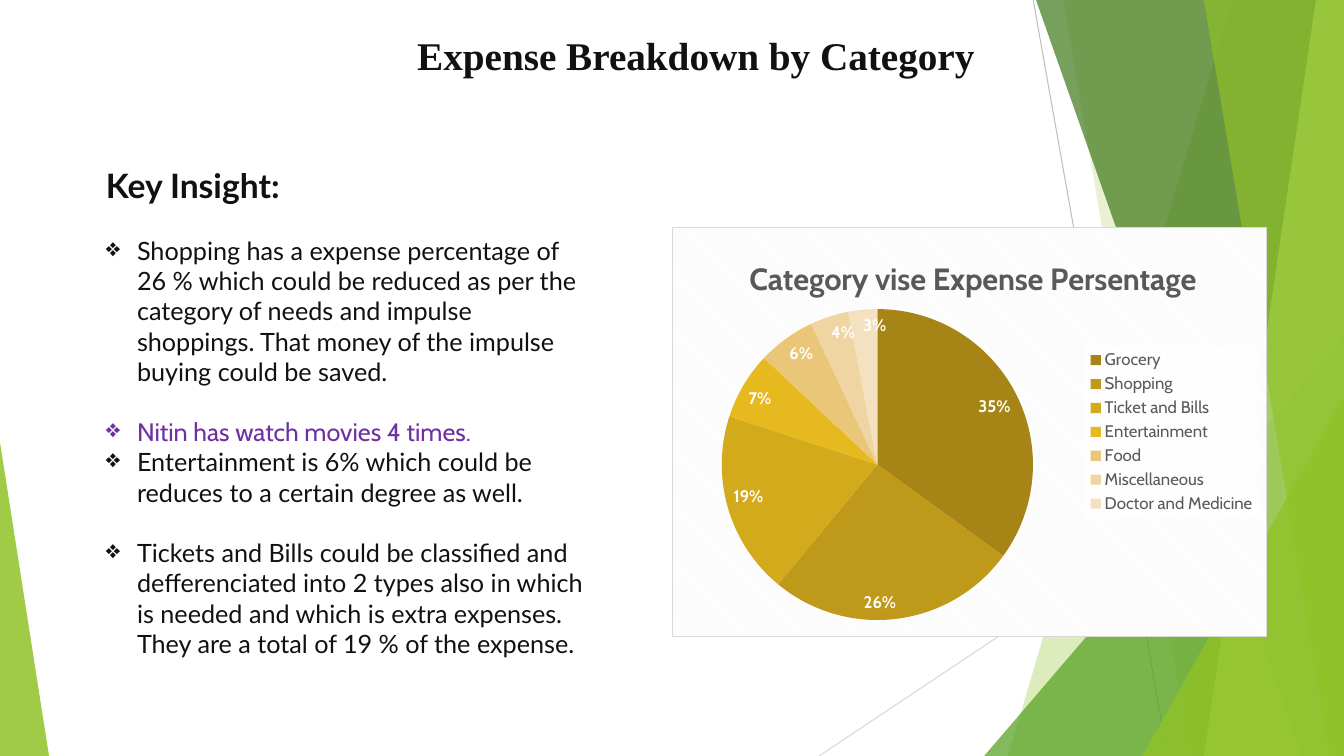
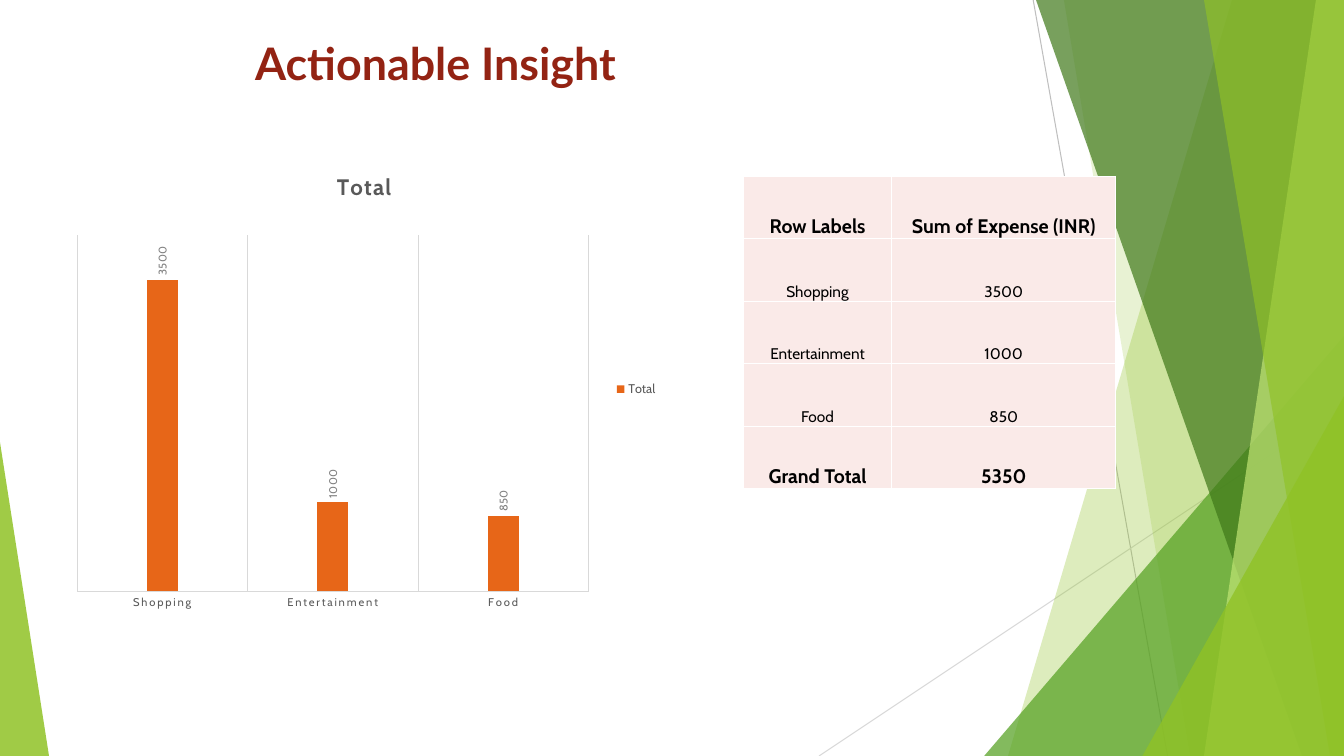
from lxml.etree import SubElement
from pptx import Presentation
from pptx.chart.data import CategoryChartData
from pptx.dml.color import RGBColor
from pptx.enum.chart import XL_CHART_TYPE, XL_LABEL_POSITION, XL_LEGEND_POSITION, XL_TICK_MARK
from pptx.enum.shapes import MSO_CONNECTOR, MSO_SHAPE
from pptx.enum.text import MSO_ANCHOR, MSO_AUTO_SIZE, PP_ALIGN
from pptx.oxml import parse_xml
from pptx.oxml.ns import nsdecls, qn
from pptx.util import Inches, Pt

# The slide is a grid of 96 columns by 54 rows of square cells
COLUMNS, ROWS, CELL = 96, 54, Pt(10)
COLORS = {
    "ink": "111111", "black": "000000", "white": "FFFFFF", "purple": "7030A0",
    "title_red": "932313", "chart_text": "595959", "label_gray": "808080",
    "rule": "D9D9D9", "dark_rule": "BFBFBF", "stripe": "F2F2F2",
    "lime": "90C226", "green": "54A021", "forest": "3F7819", "pale_lime": "C0E474",
    "orange": "E76618", "cell": "FAEAE8",
}
COLORS = {name: RGBColor.from_string(value) for name, value in COLORS.items()}
SLICE_COLORS = ["A68516", "BF9919", "D3AA1C", "E6B91E", "EAC778", "EFD5A2", "F3E1C0"]
CHART_FONT = "Cabin"

presentation = Presentation()
presentation.slide_width, presentation.slide_height = COLUMNS * CELL, ROWS * CELL
layout = presentation.slide_layouts[5]


def add_titled_slide(text, box, font_name, size, color, alignment):
    slide = presentation.slides.add_slide(layout)
    title = slide.shapes.title
    title.left, title.top, title.width, title.height = [int(value * CELL) for value in box]
    frame = title.text_frame
    frame.auto_size = MSO_AUTO_SIZE.NONE
    frame.vertical_anchor = MSO_ANCHOR.TOP
    paragraph = frame.paragraphs[0]
    paragraph.alignment = alignment
    run = paragraph.add_run()
    run.text = text
    run.font.name, run.font.size, run.font.bold = font_name, Pt(size), True
    run.font.color.rgb = COLORS[color]
    return slide


def style_chart(chart, title, title_size, spacing, legend_size, title_place, plot_place, frame_xml):
    chart.font.name, chart.font.size = CHART_FONT, Pt(10)
    chart.font.color.rgb = COLORS["black"]
    chart.has_title = True
    run = chart.chart_title.text_frame.paragraphs[0].add_run()
    run.text = title
    run.font.name, run.font.size, run.font.bold = CHART_FONT, Pt(title_size), True
    run.font.color.rgb = COLORS["chart_text"]
    run.font._element.set("spc", str(spacing))
    chart.has_legend = True
    chart.legend.position = XL_LEGEND_POSITION.RIGHT
    chart.legend.include_in_layout = False
    chart.legend.font.name, chart.legend.font.size = CHART_FONT, Pt(legend_size)
    chart.legend.font.color.rgb = COLORS["chart_text"]
    # Place the title and the plot as shares of the chart
    for tag, index, place in (("title", 1, title_place), ("plotArea", 0, plot_place)):
        parent = chart.element.xpath(f"./c:chart/c:{tag}")[0]
        for old_layout in parent.findall(qn("c:layout")):
            parent.remove(old_layout)
        target = '<c:layoutTarget val="inner"/>' if tag == "plotArea" else ""
        values = "".join(f'<c:{key} val="{value}"/>' for key, value in zip("xywh", place))
        parent.insert(index, parse_xml(
            f'<c:layout {nsdecls("c")}><c:manualLayout>{target}<c:xMode val="edge"/>'
            f'<c:yMode val="edge"/>{values}</c:manualLayout></c:layout>'))
    chart.element.find(qn("c:chart")).addnext(
        parse_xml(f'<c:spPr {nsdecls("c", "a")}>{frame_xml}</c:spPr>'))


# Slide 1: expense breakdown
breakdown = add_titled_slide("Expense Breakdown by Category", (29, 1.9, 41.4, 7.5),
                             "Times New Roman", 28, "ink", PP_ALIGN.CENTER)

# Shared background, drawn once and moved to the layout
decorations = []
for start_x, start_y, end_x, end_y, color in (
    (73.8, 0, 83.4, ROWS, "dark_rule"),
    (COLUMNS, 29, 58.5, ROWS, "rule"),
):
    line = breakdown.shapes.add_connector(
        MSO_CONNECTOR.STRAIGHT, *[int(value * CELL) for value in (start_x, start_y, end_x, end_y)])
    line.line.color.rgb = COLORS[color]
    line.line.width = Pt(0.75)
    SubElement(line.element.spPr, qn("a:effectLst"))
    decorations.append(line)

# A band has a top and a bottom left edge; a triangle has left, top, right and apex
for kind, points, color, opacity in (
    ("band", (88.4, 72.3), "lime", 30),
    ("band", (75.6, 85.2), "lime", 20),
    ("triangle", (70.3, 24, COLUMNS, 1), "green", 72),
    ("band", (73.5, 93), "forest", 70),
    ("band", (93.8, 85.8), "pale_lime", 70),
    ("band", (86.1, 94.9), "lime", 65),
    ("triangle", (81.6, 28.3, COLUMNS, 1), "lime", 80),
    ("triangle", (0, 31.6, 3.5, 0), "lime", 85),
):
    if kind == "band":
        top_x, bottom_x = points
        builder = breakdown.shapes.build_freeform(top_x, 0, scale=CELL)
        builder.add_line_segments([(COLUMNS, 0), (COLUMNS, ROWS), (bottom_x, ROWS)])
        shape = builder.convert_to_shape()
    else:
        left, top, right, apex = points
        shape = breakdown.shapes.add_shape(
            MSO_SHAPE.ISOSCELES_TRIANGLE,
            *[int(value * CELL) for value in (left, top, right - left, ROWS - top)])
        shape.adjustments[0] = apex
    shape.shadow.inherit = False
    shape.line.fill.background()
    shape.fill.solid()
    shape.fill.fore_color.rgb = COLORS[color]
    fill_color = shape.element.xpath("./p:spPr/a:solidFill/a:srgbClr")[0]
    SubElement(fill_color, qn("a:alpha")).set("val", str(opacity * 1000))
    decorations.append(shape)

for number, decoration in enumerate(decorations, start=100):
    decoration.element.xpath(".//p:cNvPr")[0].set("id", str(number))
    layout.shapes.element.append(decoration.element)

# Pie chart
pie_data = CategoryChartData()
pie_data.categories = ["Grocery", "Shopping", "Ticket and Bills", "Entertainment", "Food",
                       "Miscellaneous", "Doctor and Medicine"]
pie_data.add_series("Series 1", (35, 26, 19, 7, 6, 4, 3))
pie = breakdown.shapes.add_chart(
    XL_CHART_TYPE.PIE, *[int(value * CELL) for value in (48, 16.2, 42.5, 29.3)], pie_data).chart
style_chart(
    pie, "Category vise Expense Persentage", 22, 0, 12, (0.12, 0.06), (0.08, 0.2, 0.53, 0.76),
    f'<a:pattFill prst="dkDnDiag"><a:fgClr><a:srgbClr val="{COLORS["stripe"]}"/></a:fgClr>'
    f'<a:bgClr><a:srgbClr val="{COLORS["white"]}"/></a:bgClr></a:pattFill>'
    f'<a:ln w="{Pt(0.75)}"><a:solidFill><a:srgbClr val="{COLORS["rule"]}"/></a:solidFill></a:ln>')
pie.element.xpath(".//c:legend/c:txPr")[0].addprevious(parse_xml(
    f'<c:spPr {nsdecls("c", "a")}><a:solidFill><a:srgbClr val="{COLORS["white"]}">'
    '<a:alpha val="78000"/></a:srgbClr></a:solidFill></c:spPr>'))
pie.plots[0].vary_by_categories = True
pie_series = pie.plots[0].series[0]
for index, color in enumerate(SLICE_COLORS):
    slice_format = pie_series.points[index].format
    slice_format.fill.solid()
    slice_format.fill.fore_color.rgb = RGBColor.from_string(color)
    slice_format.line.fill.background()
labels = pie_series.data_labels
labels.show_value, labels.show_percentage = False, True
labels.number_format, labels.number_format_is_linked = "0%", False
labels.position = XL_LABEL_POSITION.INSIDE_END
labels.font.name, labels.font.size, labels.font.bold = CHART_FONT, Pt(12), True
labels.font.color.rgb = COLORS["white"]

# Key insight list
insight_box = breakdown.shapes.add_textbox(*[int(value * CELL) for value in (6.85, 11.4, 36, 38.5)])
insight_frame = insight_box.text_frame
insight_frame.word_wrap = True
for index, (text, size, font_name, color, space) in enumerate((
    ("Key Insight:", 24, "Lato", "ink", 0),
    ("Shopping has a expense percentage of 26 % which could be reduced as per the category of "
     "needs and impulse shoppings. That money of the impulse buying could be saved.",
     18, "Lato", "ink", 21.6),
    ("Nitin has watch movies 4 times.", 18, "Cabin", "purple", 21.6),
    ("Entertainment is 6% which could be reduces to a certain degree as well.",
     18, "Lato", "ink", 0),
    ("Tickets and Bills could be classified and defferenciated into 2 types also in which is "
     "needed and which is extra expenses. They are a total of 19 % of the expense.",
     18, "Lato", "ink", 21.6),
)):
    paragraph = insight_frame.add_paragraph() if index else insight_frame.paragraphs[0]
    paragraph.space_before = Pt(space)
    run = paragraph.add_run()
    run.text = text
    run.font.name, run.font.size, run.font.bold = font_name, Pt(size), index == 0
    run.font.color.rgb = COLORS[color]
    if index:
        properties = paragraph._p.get_or_add_pPr()
        properties.set("marL", str(Inches(0.31)))
        properties.set("indent", str(-Inches(0.31)))
        SubElement(properties, qn("a:buChar")).set("char", "❖")

# Slide 2: actionable insight
action = add_titled_slide("Actionable Insight", (17.5, 2.2, 49.2, 4.6),
                          "Lato", 32, "title_red", PP_ALIGN.LEFT)

# Column chart
column_data = CategoryChartData()
column_data.categories = ["Shopping", "Entertainment", "Food"]
column_data.add_series("Total", (3500, 1000, 850))
column_chart = action.shapes.add_chart(
    XL_CHART_TYPE.COLUMN_CLUSTERED,
    *[int(value * CELL) for value in (4.2, 10.6, 43.5, 34.4)], column_data).chart
style_chart(column_chart, "Total", 16, 100, 9, (0.45, 0.04), (0.03, 0.18, 0.84, 0.74),
            "<a:noFill/><a:ln><a:noFill/></a:ln>")
plot = column_chart.plots[0]
plot.gap_width, plot.overlap, plot.vary_by_categories = 444, -90, False
column_series = plot.series[0]
column_series.format.fill.solid()
column_series.format.fill.fore_color.rgb = COLORS["orange"]
labels = column_series.data_labels
labels.show_value = True
labels.position = XL_LABEL_POSITION.OUTSIDE_END
category_axis, value_axis = column_chart.category_axis, column_chart.value_axis
for font, color in ((labels.font, "label_gray"), (category_axis.tick_labels.font, "chart_text")):
    font.name, font.size = CHART_FONT, Pt(8)
    font.color.rgb = COLORS[color]
column_chart.element.xpath(".//c:dLbls/c:txPr/a:bodyPr")[0].set("rot", "-5400000")
column_chart.element.xpath(".//c:catAx/c:txPr//a:defRPr")[0].set("spc", "120")
category_axis.has_major_gridlines = True
category_axis.major_tick_mark = XL_TICK_MARK.NONE
for axis_line in (category_axis.format.line, category_axis.major_gridlines.format.line):
    axis_line.color.rgb = COLORS["rule"]
    axis_line.width = Pt(0.75)
value_axis.visible = False
value_axis.has_major_gridlines = False
value_axis.minimum_scale, value_axis.maximum_scale = 0, 4000

# Expense table
table_rows = [("Row Labels", "Sum of Expense (INR)"), ("Shopping", "3500"),
              ("Entertainment", "1000"), ("Food", "850"), ("Grand Total", "5350")]
table = action.shapes.add_table(
    len(table_rows), 2, *[int(value * CELL) for value in (53.1, 12.6, 26.6, 22.3)]).table
table.first_row = table.horz_banding = False
for column, width in zip(table.columns, (10.6, 16)):
    column.width = int(width * CELL)
for row_index, row in enumerate(table_rows):
    emphasis = row_index in (0, len(table_rows) - 1)
    for column_index, text in enumerate(row):
        cell = table.cell(row_index, column_index)
        cell.vertical_anchor = MSO_ANCHOR.BOTTOM
        cell.margin_left = cell.margin_top = cell.margin_right = Inches(0.01)
        cell.margin_bottom = 0
        for side in "LRTB":
            cell._tc.get_or_add_tcPr().append(parse_xml(
                f'<a:ln{side} {nsdecls("a")} w="{Pt(1)}"><a:solidFill>'
                f'<a:srgbClr val="{COLORS["white"]}"/></a:solidFill></a:ln{side}>'))
        cell.fill.solid()
        cell.fill.fore_color.rgb = COLORS["cell"]
        paragraph = cell.text_frame.paragraphs[0]
        paragraph.alignment = PP_ALIGN.CENTER
        run = paragraph.add_run()
        run.text = text
        run.font.name, run.font.bold = "Cabin", emphasis
        run.font.size = Pt(14 if emphasis else 11)
        run.font.color.rgb = COLORS["black"]

presentation.save("out.pptx")
